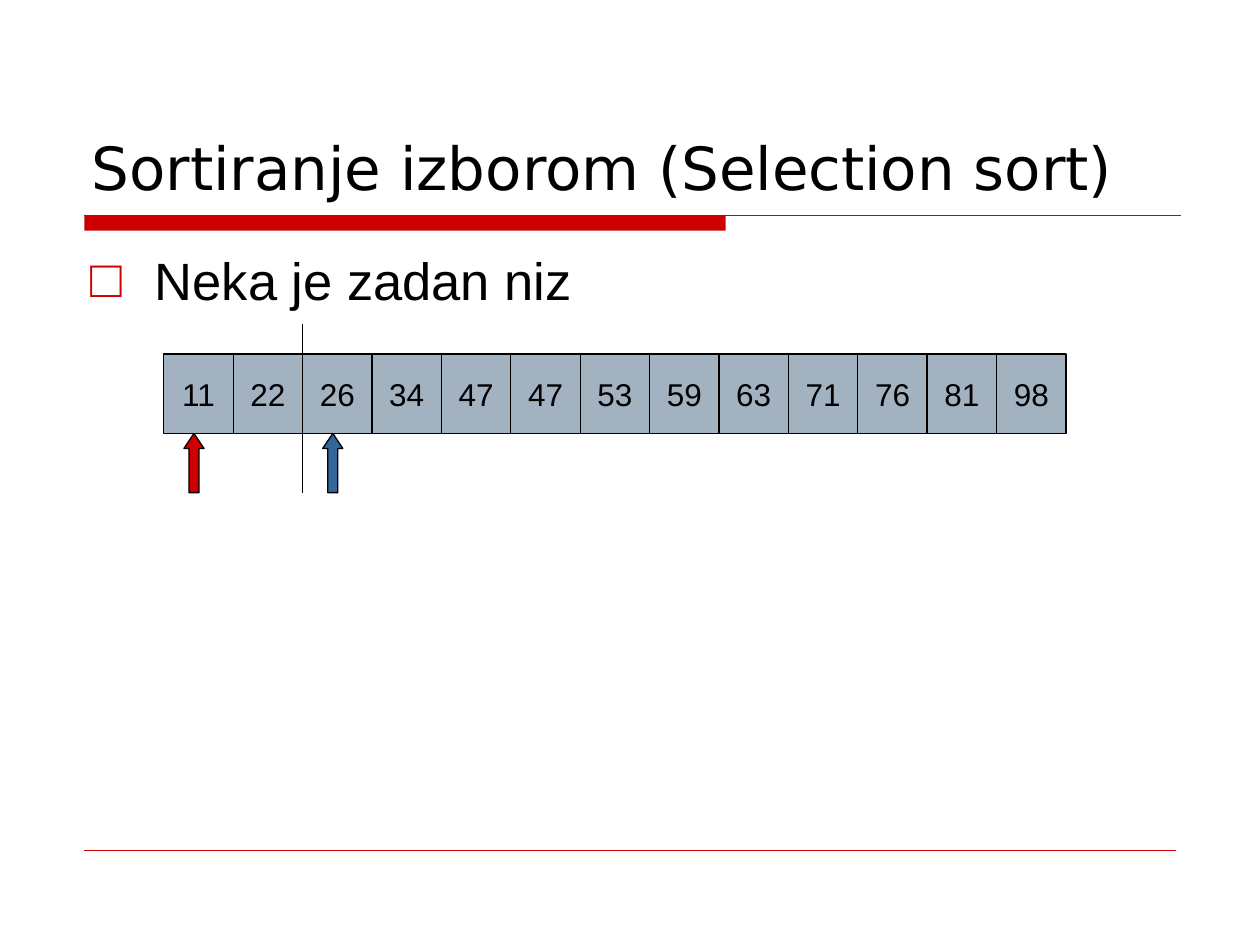
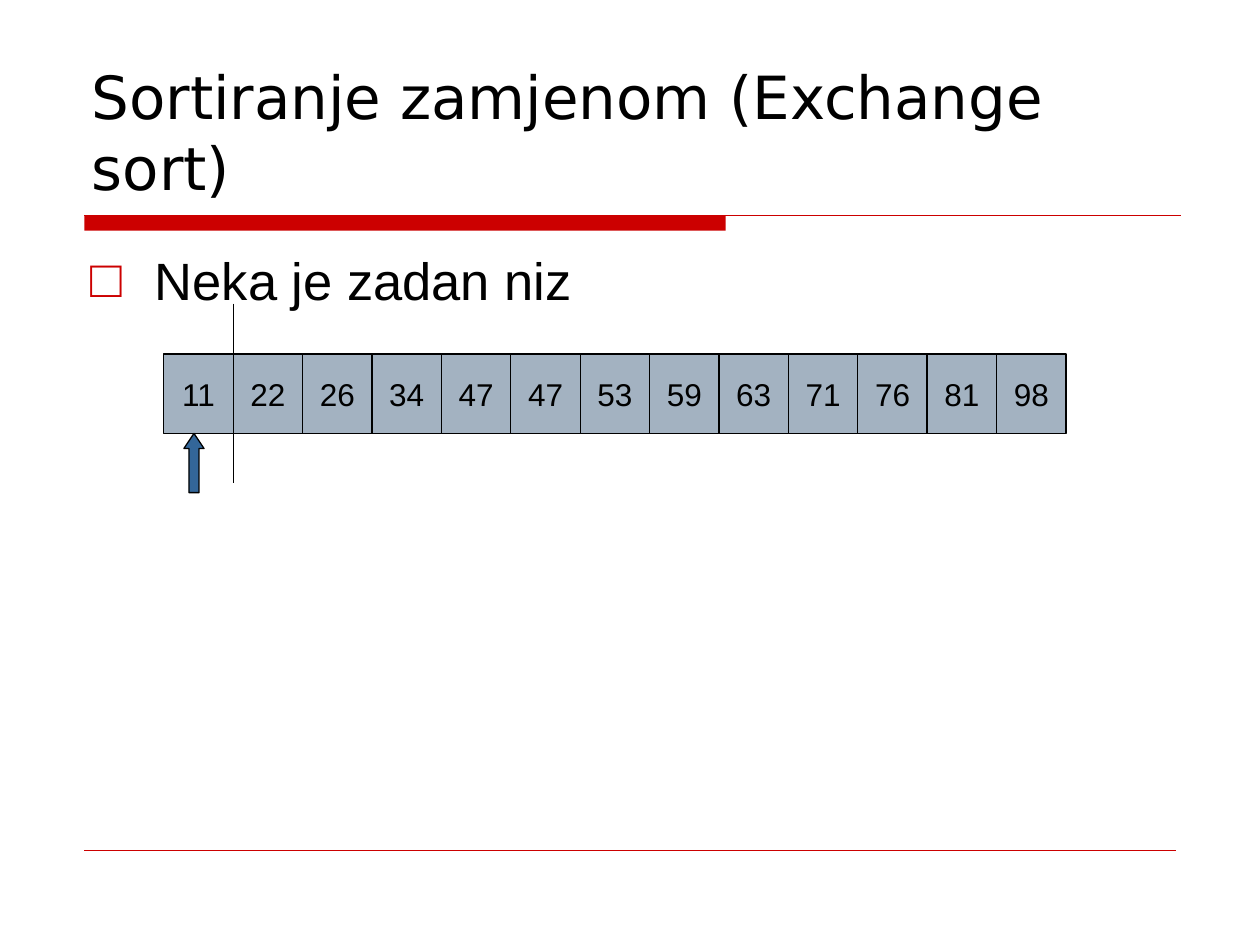
from lxml.etree import SubElement
from pptx import Presentation
from pptx.dml.color import RGBColor
from pptx.enum.shapes import MSO_CONNECTOR as Connector, MSO_SHAPE as Preset
from pptx.enum.text import MSO_ANCHOR as Anchor, PP_ALIGN as Align
from pptx.oxml.ns import qn
from pptx.util import Inches, Pt

RED = RGBColor(0xCC, 0x00, 0x00)
BLUE = RGBColor(0x33, 0x66, 0x99)
STEEL = RGBColor(0xA3, 0xB2, 0xC1)
BLACK = RGBColor(0x00, 0x00, 0x00)

TITLE_FONT = "DejaVu Sans"
BODY_FONT = "Arial"

VALUES = [11, 22, 26, 34, 47, 47, 53, 59, 63, 71, 76, 81, 98]
ARRAY_LEFT, ARRAY_TOP, ARRAY_WIDTH, CELL_HEIGHT = 1.3, 2.81, 7.16, 0.63
CELL_WIDTH = ARRAY_WIDTH / len(VALUES)
MARKER_WIDTH, MARKER_HEIGHT, MARKER_INDENT = 0.16, 0.47, 0.16
BULLET_INDENT = 0.51


def cell_left(index):
    return ARRAY_LEFT + index * CELL_WIDTH


def add_bullet(para, symbol, color):
    props = para._p.get_or_add_pPr()
    props.set("marL", str(Inches(BULLET_INDENT)))
    props.set("indent", str(-Inches(BULLET_INDENT)))
    tint = SubElement(props, qn("a:buClr"))
    SubElement(tint, qn("a:srgbClr"), val=str(color))
    SubElement(props, qn("a:buFont"), typeface=BODY_FONT)
    SubElement(props, qn("a:buChar"), char=symbol)


def write_text(shape, text, *, size, font=BODY_FONT, color=BLACK, align=Align.LEFT,
               anchor=Anchor.TOP, wrap=True, bullet=None):
    frame = shape.text_frame
    frame.word_wrap = wrap
    frame.vertical_anchor = anchor
    para = frame.paragraphs[0]
    para.alignment = align
    if bullet:
        add_bullet(para, bullet, RED)
    span = para.add_run()
    span.text = text
    span.font.name = font
    span.font.size = Pt(size)
    span.font.color.rgb = color


def add_text(page, left, top, width, height, text, **style):
    box = page.shapes.add_textbox(Inches(left), Inches(top), Inches(width), Inches(height))
    write_text(box, text, **style)


def add_shape(page, preset, left, top, width, height, fill, line=BLACK):
    shape = page.shapes.add_shape(preset, Inches(left), Inches(top), Inches(width), Inches(height))
    shape.shadow.inherit = False
    shape.fill.solid()
    shape.fill.fore_color.rgb = fill
    if line is None:
        shape.line.fill.background()
    else:
        shape.line.color.rgb = line
        shape.line.width = Pt(0.75)
    return shape


def add_line(page, start_x, start_y, end_x, end_y, color=BLACK, width=0.75):
    line = page.shapes.add_connector(Connector.STRAIGHT, Inches(start_x), Inches(start_y),
                                     Inches(end_x), Inches(end_y))
    line.line.color.rgb = color
    line.line.width = Pt(width)
    SubElement(line._element.spPr, qn("a:effectLst"))


def add_array(page):
    for index, value in enumerate(VALUES):
        cell = add_shape(page, Preset.RECTANGLE, cell_left(index), ARRAY_TOP,
                         CELL_WIDTH, CELL_HEIGHT, STEEL)
        write_text(cell, str(value), size=18, align=Align.CENTER,
                   anchor=Anchor.MIDDLE, wrap=False)


def add_marker(page, index, color):
    marker = add_shape(page, Preset.UP_ARROW, cell_left(index) + MARKER_INDENT,
                       ARRAY_TOP + CELL_HEIGHT, MARKER_WIDTH, MARKER_HEIGHT, color)
    marker.adjustments[0] = 0.5
    marker.adjustments[1] = 0.75


def add_divider(page, index, top, bottom):
    add_line(page, cell_left(index), top, cell_left(index), bottom)


def add_sort_page(deck, title):
    page = deck.slides.add_slide(deck.slide_layouts[6])
    add_shape(page, Preset.RECTANGLE, 0.67, 1.71, 5.09, 0.12, RED, line=None)
    add_line(page, 0.67, 1.71, 9.37, 1.71, RED)
    add_line(page, 0.67, 6.75, 9.33, 6.75, RED, width=0.25)
    add_text(page, 0.63, 0.33, 8.75, 1.33, title, size=34, font=TITLE_FONT,
             anchor=Anchor.BOTTOM)
    add_text(page, 0.62, 1.92, 8.75, 4.67, "Neka je zadan niz", size=30, bullet="□")
    add_array(page)
    return page


def main():
    deck = Presentation()
    deck.slide_width, deck.slide_height = Inches(10), Inches(7.5)

    selection = add_sort_page(deck, "Sortiranje izborom (Selection sort)")
    add_marker(selection, 0, RED)
    add_divider(selection, 2, 2.57, 3.91)
    add_marker(selection, 2, BLUE)

    exchange = add_sort_page(deck, "Sortiranje zamjenom (Exchange sort)")
    add_marker(exchange, 0, BLUE)
    add_divider(exchange, 1, 2.41, 3.83)

    deck.save("out.pptx")


if __name__ == "__main__":
    main()
